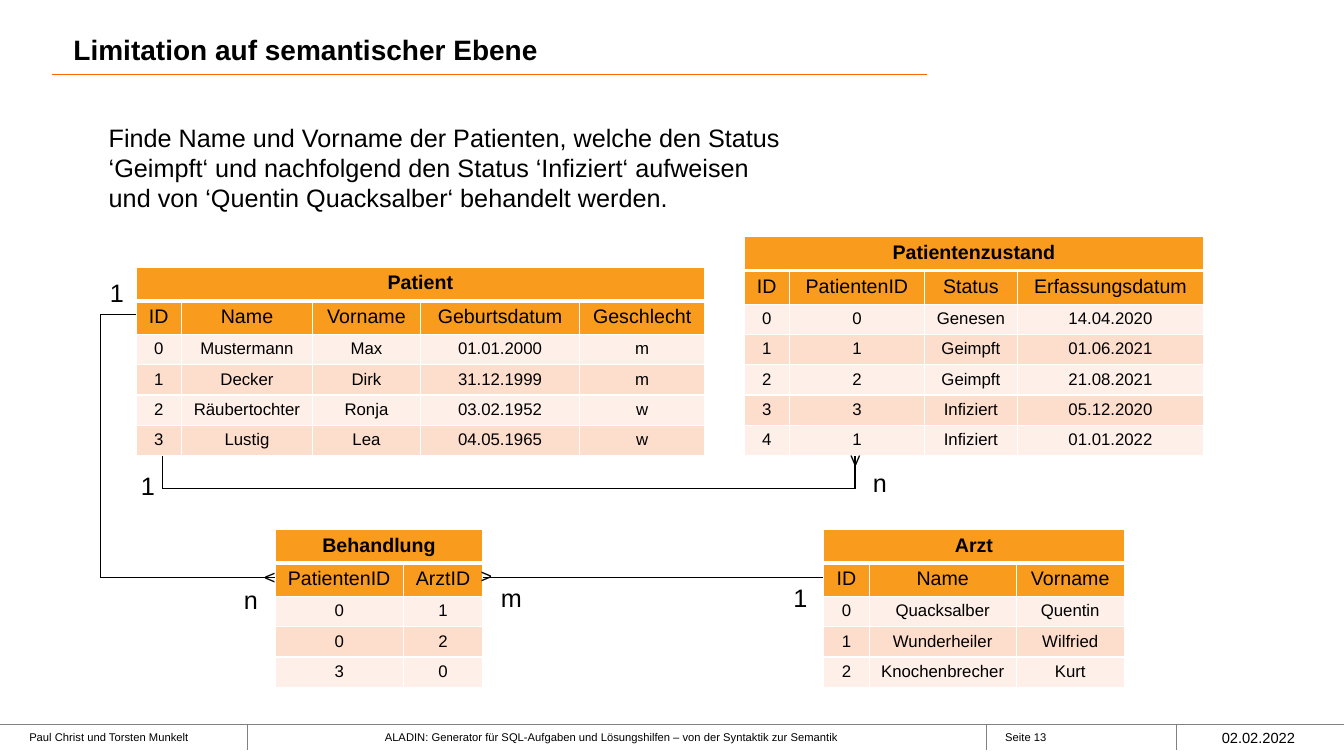
"""Builds the slide on semantic limits of generated SQL tasks, with four related tables."""
import pptx
import pptx.dml.color
import pptx.enum.shapes
import pptx.enum.text
import pptx.oxml
import pptx.oxml.ns
import pptx.util
from pptx.util import Inches

ALIGN = pptx.enum.text.PP_ALIGN
ANCHOR = pptx.enum.text.MSO_ANCHOR


def paint(color, value):
    color.rgb = pptx.dml.color.RGBColor.from_string(value)


def write(frame, text, size, bold=False, align=ALIGN.LEFT):
    paragraph = frame.paragraphs[0]
    paragraph.text = text
    paragraph.alignment = align
    paragraph.font.name = "Arial"
    paragraph.font.size = pptx.util.Pt(size)
    paragraph.font.bold = bold
    paint(paragraph.font.color, "000000")


presentation = pptx.Presentation()
presentation.slide_width = Inches(13.33)
presentation.slide_height = Inches(7.5)
slide = presentation.slides.add_slide(presentation.slide_layouts[6])

rules = [
    ("808080", 0, 7.19, 13.33, 7.19),
    ("808080", 2.45, 7.19, 2.45, 7.44),
    ("808080", 9.78, 7.19, 9.78, 7.44),
    ("808080", 11.67, 7.19, 11.67, 7.44),
    ("FF6600", 0.52, 0.74, 9.19, 0.74),
]
relations = [
    [(1.61, 4.51), (1.61, 4.85), (8.48, 4.85), (8.48, 4.51)],
    [(1.35, 3.12), (1, 3.12), (1, 5.73), (2.73, 5.73)],
    [(4.79, 5.73), (8.17, 5.73)],
]
for route in relations:
    for start, end in zip(route, route[1:]):
        rules.append(("000000", *start, *end))
for color, *ends in rules:
    rule = slide.shapes.add_connector(
        pptx.enum.shapes.MSO_CONNECTOR.STRAIGHT, *map(Inches, ends))
    rule.line.width = pptx.util.Pt(0.75)
    paint(rule.line.color, color)
    properties = rule._element.spPr
    properties.append(properties.makeelement(pptx.oxml.ns.qn("a:effectLst"), {}))

footers = [
    ("Paul Christ und Torsten Munkelt", 0.29, 1.81, ALIGN.LEFT),
    ("ALADIN: Generator für SQL-Aufgaben und Lösungshilfen – von der Syntaktik zur Semantik",
     2.62, 6.99, ALIGN.CENTER),
    ("Seite 13", 9.97, 1.47, ALIGN.LEFT),
]
for text, left, width, align in footers:
    footer = slide.shapes.add_textbox(
        Inches(left), Inches(7.2), Inches(width), Inches(0.24)).text_frame
    footer.word_wrap = True
    footer.margin_left = 0
    write(footer, text, 8, align=align)

passages = [
    ("Limitation auf semantischer Ebene", 0.63, 0.2, 8.61, 0.58, 20, True, ANCHOR.MIDDLE),
    ("02.02.2022", 12.02, 7.2, 1.18, 0.24, 10.5, False, ANCHOR.MIDDLE),
    ("Finde Name und Vorname der Patienten, welche den Status ‘Geimpft‘ und nachfolgend "
     "den Status ‘Infiziert‘ aufweisen und von ‘Quentin Quacksalber‘ behandelt werden.",
     0.98, 1.16, 6.91, 1.13, 18, False, ANCHOR.TOP),
]
for text, left, top, width, height, size, bold, anchor in passages:
    passage = slide.shapes.add_textbox(
        Inches(left), Inches(top), Inches(width), Inches(height)).text_frame
    passage.word_wrap = True
    passage.vertical_anchor = anchor
    write(passage, text, size, bold)

entities = [
    ("Patientenzustand", 7.38, 2.35, (0.45, 1.34, 0.92, 1.85), 0.32, 0.29, [
        ("ID", "PatientenID", "Status", "Erfassungsdatum"),
        ("0", "0", "Genesen", "14.04.2020"),
        ("1", "1", "Geimpft", "01.06.2021"),
        ("2", "2", "Geimpft", "21.08.2021"),
        ("3", "3", "Infiziert", "05.12.2020"),
        ("4", "1", "Infiziert", "01.01.2022"),
    ]),
    ("Patient", 1.35, 2.65, (0.45, 1.3, 1.07, 1.58, 1.24), 0.32, 0.29, [
        ("ID", "Name", "Vorname", "Geburtsdatum", "Geschlecht"),
        ("0", "Mustermann", "Max", "01.01.2000", "m"),
        ("1", "Decker", "Dirk", "31.12.1999", "m"),
        ("2", "Räubertochter", "Ronja", "03.02.1952", "w"),
        ("3", "Lustig", "Lea", "04.05.1965", "w"),
    ]),
    ("Arzt", 8.17, 5.25, (0.45, 1.46, 1.07), 0.33, 0.3, [
        ("ID", "Name", "Vorname"),
        ("0", "Quacksalber", "Quentin"),
        ("1", "Wunderheiler", "Wilfried"),
        ("2", "Knochenbrecher", "Kurt"),
    ]),
    ("Behandlung", 2.73, 5.25, (1.27, 0.79), 0.33, 0.3, [
        ("PatientenID", "ArztID"),
        ("0", "1"),
        ("0", "2"),
        ("3", "0"),
    ]),
]
for name, left, top, widths, head_height, record_height, records in entities:
    rows = [(name,) + ("",) * (len(widths) - 1)] + records
    heights = [head_height] * 2 + [record_height] * (len(rows) - 2)
    entity = slide.shapes.add_table(
        len(rows), len(widths), Inches(left), Inches(top),
        Inches(sum(widths)), Inches(sum(heights))).table
    for column, width in zip(entity.columns, widths):
        column.width = Inches(width)
    for y, values in enumerate(rows):
        entity.rows[y].height = Inches(heights[y])
        fill = "F99B1C" if y < 2 else ("FEEFE8", "FDDECD")[y % 2]
        for x, value in enumerate(values):
            cell = entity.cell(y, x)
            write(cell.text_frame, value, 14 if y < 2 else 12, y == 0, ALIGN.CENTER)
            borders = cell._tc.get_or_add_tcPr()
            for side in "LRTB":
                points = 3 if (y, side) in [(0, "B"), (1, "T")] else 1
                borders.append(pptx.oxml.parse_xml(
                    f'<a:ln{side} {pptx.oxml.ns.nsdecls("a")} w="{points * 12700}">'
                    '<a:solidFill><a:srgbClr val="FFFFFF"/></a:solidFill>'
                    f'</a:ln{side}>'))
            cell.fill.solid()
            paint(cell.fill.fore_color, fill)
    entity.cell(0, 0).merge(entity.cell(0, len(widths) - 1))

cardinalities = [
    ("1", 1.3, 4.62, 0), ("n", 8.56, 4.59, 0), ("<", 8.32, 4.4, 270),
    ("1", 7.77, 5.73, 0), ("m", 4.87, 5.73, 0), ("n", 2.32, 5.75, 0),
    ("1", 0.99, 2.7, 0), ("<", 2.52, 5.56, 0), ("<", 4.67, 5.56, 180),
]
for symbol, left, top, rotation in cardinalities:
    height, size = (0.34, 14) if symbol == "<" else (0.4, 18)
    cardinality = slide.shapes.add_textbox(
        Inches(left), Inches(top), Inches(0.31), Inches(height))
    cardinality.rotation = rotation
    cardinality.text_frame.word_wrap = True
    write(cardinality.text_frame, symbol, size)

presentation.save("out.pptx")
